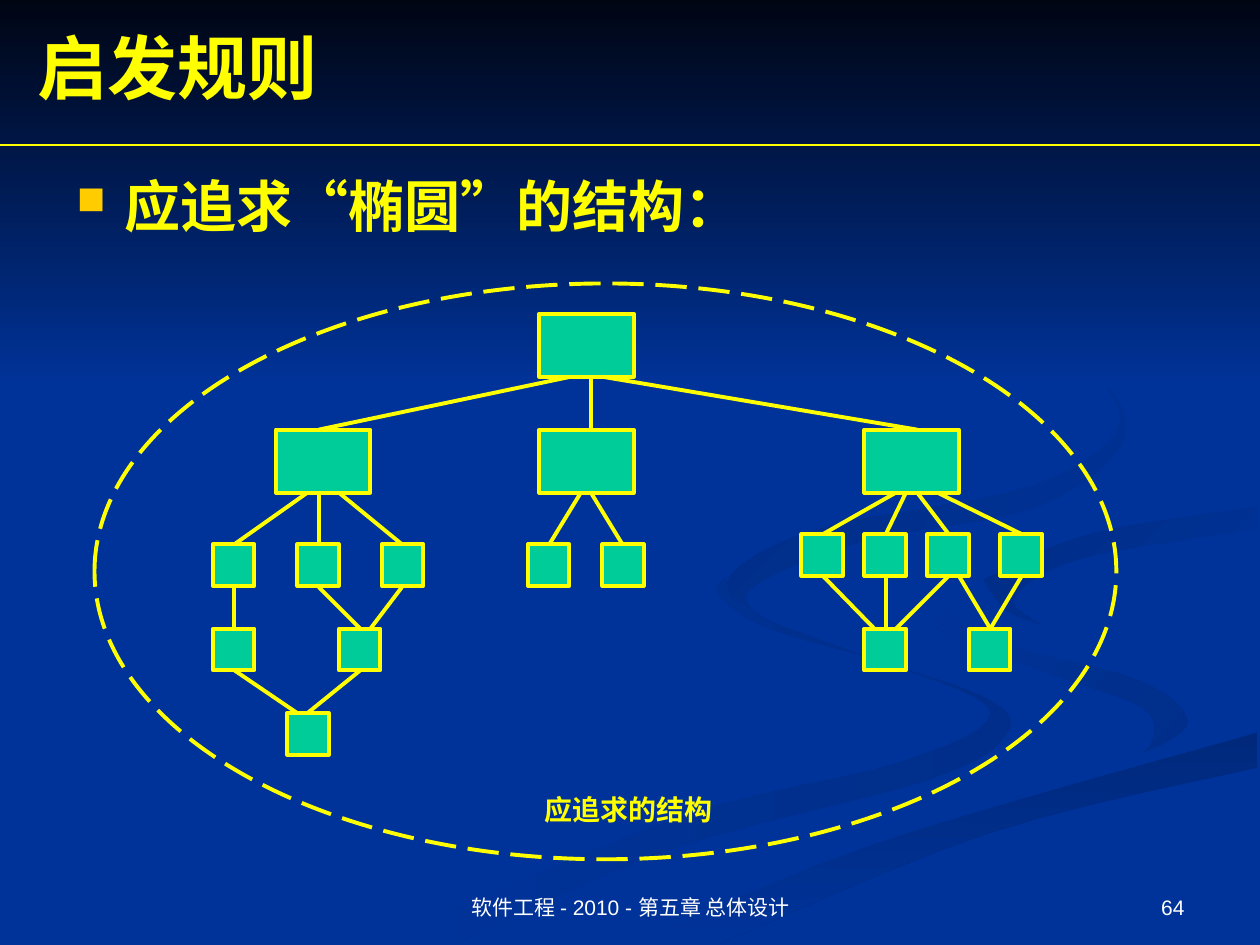
from lxml import etree
from pptx import Presentation
from pptx.dml.color import RGBColor
from pptx.enum.dml import MSO_LINE
from pptx.enum.shapes import MSO_CONNECTOR, MSO_SHAPE
from pptx.enum.text import MSO_ANCHOR, PP_ALIGN
from pptx.oxml.ns import qn
from pptx.util import Inches, Pt

RECTANGLE, ELLIPSE = MSO_SHAPE.RECTANGLE, MSO_SHAPE.OVAL
STRAIGHT, LONG_DASH = MSO_CONNECTOR.STRAIGHT, MSO_LINE.LONG_DASH
TOP, MIDDLE, BOTTOM = MSO_ANCHOR.TOP, MSO_ANCHOR.MIDDLE, MSO_ANCHOR.BOTTOM
LEFT, CENTER, RIGHT = PP_ALIGN.LEFT, PP_ALIGN.CENTER, PP_ALIGN.RIGHT
YELLOW, GREEN, BLUE, WHITE = "FFFF00", "00CC99", "003399", "FFFFFF"
SERIF, SANS = "Times New Roman", "Arial"
CURVE_STEPS = 6


def color(hex_string):
    return RGBColor.from_string(hex_string)


def smooth(knots):
    """Return points on a Catmull-Rom curve that passes through all knots."""
    padded = [knots[0], *knots, knots[-1]]
    points = []
    for a, b, c, d in zip(padded, padded[1:], padded[2:], padded[3:]):
        for step in range(CURVE_STEPS):
            t = step / CURVE_STEPS
            points.append(tuple(
                q + t * (r - p + t * (2 * p - 5 * q + 4 * r - s + t * (3 * (q - r) + s - p))) / 2
                for p, q, r, s in zip(a, b, c, d)))
    return points + [knots[-1]]


presentation = Presentation()
presentation.slide_width, presentation.slide_height = Inches(10), Inches(7.5)
slide = presentation.slides.add_slide(presentation.slide_layouts[6])
shapes = slide.shapes
slide.background.fill.solid()
slide.background.fill.fore_color.rgb = color(BLUE)

# Background swirls: curved edges, gradient start, gradient end, angle
swirls = [
    ([[(5.75, 4.59), (5.7, 4.72), (6.11, 4.99), (7.14, 5.3), (7.86, 5.66), (7.14, 6.05), (5.39, 6.49), (3, 7.49)],
      [(3.61, 7.49), (5.32, 6.74), (7.4, 6.18), (8, 5.81), (7.81, 5.53), (6.82, 5.19), (5.94, 4.85), (5.75, 4.59)]],
     "002E8A", BLUE, 180),
    ([[(7.24, 4.64), (7.46, 5), (8.38, 5.36), (9.07, 5.62), (9.14, 5.89), (8.94, 6.05)],
      [(8.94, 6.05), (9.43, 5.76), (9.05, 5.4), (7.92, 5.09), (7.24, 4.64)]],
     "002E8A", BLUE, 135),
    ([[(5.03, 7.49), (6.3, 6.93), (7.64, 6.47), (9.98, 5.81)],
      [(9.98, 6.09), (7.85, 6.61), (5.71, 7.49)]],
     "00297C", BLUE, 270),
    ([[(7.25, 4.64), (7.93, 5.09), (9.05, 5.4), (9.43, 5.75), (8.69, 6.11), (6.63, 6.68), (4.77, 7.49)],
      [(5.03, 7.49), (6.96, 6.69), (9.99, 5.81)],
      [(9.99, 5.38), (8.48, 5.03), (7.81, 4.63), (8.35, 4.3), (9.99, 4.02)],
      [(9.99, 3.87), (8.3, 4.15), (7.25, 4.64)]],
     BLUE, BLUE, 0),
    ([[(7.81, 4.6), (7.97, 4.83), (8.26, 4.96)],
      [(8.26, 4.96), (8.05, 4.74), (8.59, 4.43), (9.98, 4.2)],
      [(9.98, 4.02), (8.65, 4.24), (7.81, 4.6)]],
     BLUE, "002C85", 135),
    ([[(7.62, 2.33), (8.54, 2.83), (8.94, 3.44), (8.25, 4.02), (6.83, 4.3), (5.93, 4.7), (6.22, 5)],
      [(6.22, 5), (5.77, 4.62), (6.49, 4.2), (8.18, 3.86), (8.89, 3.35), (8.46, 2.79), (7.62, 2.33)]],
     BLUE, "002B81", 135),
    ([[(0, 0), (10, 0)], [(10, 3.08), (0, 3.08)]], "000514", BLUE, 270),
]
for edges, start_color, end_color, angle in swirls:
    points = [(Inches(x), Inches(y)) for edge in edges for x, y in smooth(edge)]
    builder = shapes.build_freeform(*points[0])
    builder.add_line_segments(points[1:], close=True)
    swirl = builder.convert_to_shape()
    swirl.shadow.inherit = False
    swirl.line.fill.background()
    swirl.fill.gradient()
    swirl.fill.gradient_angle = angle
    for stop, stop_color in zip(swirl.fill.gradient_stops, (start_color, end_color)):
        stop.color.rgb = color(stop_color)

# Module boxes: width, height, top, lefts
box_rows = [
    (0.75, 0.5, 2.49, [4.28]),
    (0.75, 0.5, 3.41, [2.19, 4.28, 6.86]),
    (0.33, 0.33, 4.32, [1.69, 2.36, 3.03, 4.19, 4.78]),
    (0.33, 0.33, 4.24, [6.36, 6.86, 7.36, 7.94]),
    (0.33, 0.33, 4.99, [1.69, 2.69, 6.86, 7.69]),
    (0.33, 0.33, 5.66, [2.28]),
]
for width, height, top, lefts in box_rows:
    for left in lefts:
        box = shapes.add_shape(RECTANGLE, Inches(left), Inches(top), Inches(width), Inches(height))
        box.shadow.inherit = False
        box.fill.solid()
        box.fill.fore_color.rgb = color(GREEN)
        box.line.color.rgb = color(YELLOW)
        box.line.width = Pt(2.25)

# Lines: weight, start height, end height, pairs of start and end positions
line_rows = [
    (0.75, 1.15, 1.15, [(0, 10)]),
    (2.25, 2.99, 3.41, [(4.53, 2.53), (4.69, 4.69), (4.78, 7.28)]),
    (2.25, 3.91, 4.32, [(2.44, 1.86), (2.53, 2.53), (2.69, 3.19), (4.61, 4.36), (4.69, 4.94)]),
    (2.25, 3.91, 4.24, [(7.11, 6.53), (7.19, 7.03), (7.28, 7.53), (7.44, 8.11)]),
    (2.25, 4.66, 4.99, [(1.86, 1.86), (2.53, 2.86), (3.19, 2.94)]),
    (2.25, 4.57, 4.99, [(6.53, 6.94), (7.03, 7.03), (7.53, 7.11), (7.61, 7.86), (8.11, 7.86)]),
    (2.25, 5.32, 5.66, [(1.86, 2.36), (2.86, 2.44)]),
]
for weight, start_y, end_y, pairs in line_rows:
    for start_x, end_x in pairs:
        line = shapes.add_connector(
            STRAIGHT, Inches(start_x), Inches(start_y), Inches(end_x), Inches(end_y))
        line.line.color.rgb = color(YELLOW)
        line.line.width = Pt(weight)
        etree.SubElement(line._element.spPr, qn("a:effectLst"))

ellipse = shapes.add_shape(ELLIPSE, Inches(0.75), Inches(2.25), Inches(8.11), Inches(4.57))
ellipse.shadow.inherit = False
ellipse.fill.background()
ellipse.line.color.rgb = color(YELLOW)
ellipse.line.width = Pt(2.25)
ellipse.line.dash_style = LONG_DASH

# Texts: wording, position and size, anchor, alignment, font, points, colour, bold, bulleted
texts = [
    ("启发规则", (0.2, 0.14, 9.8, 0.77), MIDDLE, LEFT, SERIF, 40, YELLOW, True, False),
    ("应追求“椭圆”的结构：", (0.51, 1.31, 9, 4.95), TOP, LEFT, SERIF, 32, YELLOW, True, True),
    ("应追求的结构", (3.28, 6.24, 3.42, 0.37), TOP, CENTER, SERIF, 16, YELLOW, True, False),
    ("软件工程 - 2010 - 第五章 总体设计", (3.42, 6.83, 3.17, 0.52), BOTTOM, CENTER, SANS, 12, WHITE, False, False),
    ("64", (7.17, 6.83, 2.33, 0.52), BOTTOM, RIGHT, SANS, 12, WHITE, False, False),
]
for wording, place, anchor, alignment, font_name, size, text_color, bold, bulleted in texts:
    frame = shapes.add_textbox(*map(Inches, place)).text_frame
    frame.word_wrap = True
    frame.vertical_anchor = anchor
    paragraph = frame.paragraphs[0]
    paragraph.alignment = alignment
    if bulleted:
        properties = paragraph._p.get_or_add_pPr()
        properties.set("marL", str(Inches(0.38)))
        properties.set("indent", str(Inches(-0.38)))
        bullet_color = etree.SubElement(properties, qn("a:buClr"))
        etree.SubElement(bullet_color, qn("a:srgbClr"), val="FFCC00")
        etree.SubElement(properties, qn("a:buSzPct"), val="70000")
        etree.SubElement(properties, qn("a:buChar"), char="■")
    run = paragraph.add_run()
    run.text = wording
    run.font.name = font_name
    run.font.size = Pt(size)
    run.font.bold = bold
    run.font.color.rgb = color(text_color)

presentation.save("out.pptx")
